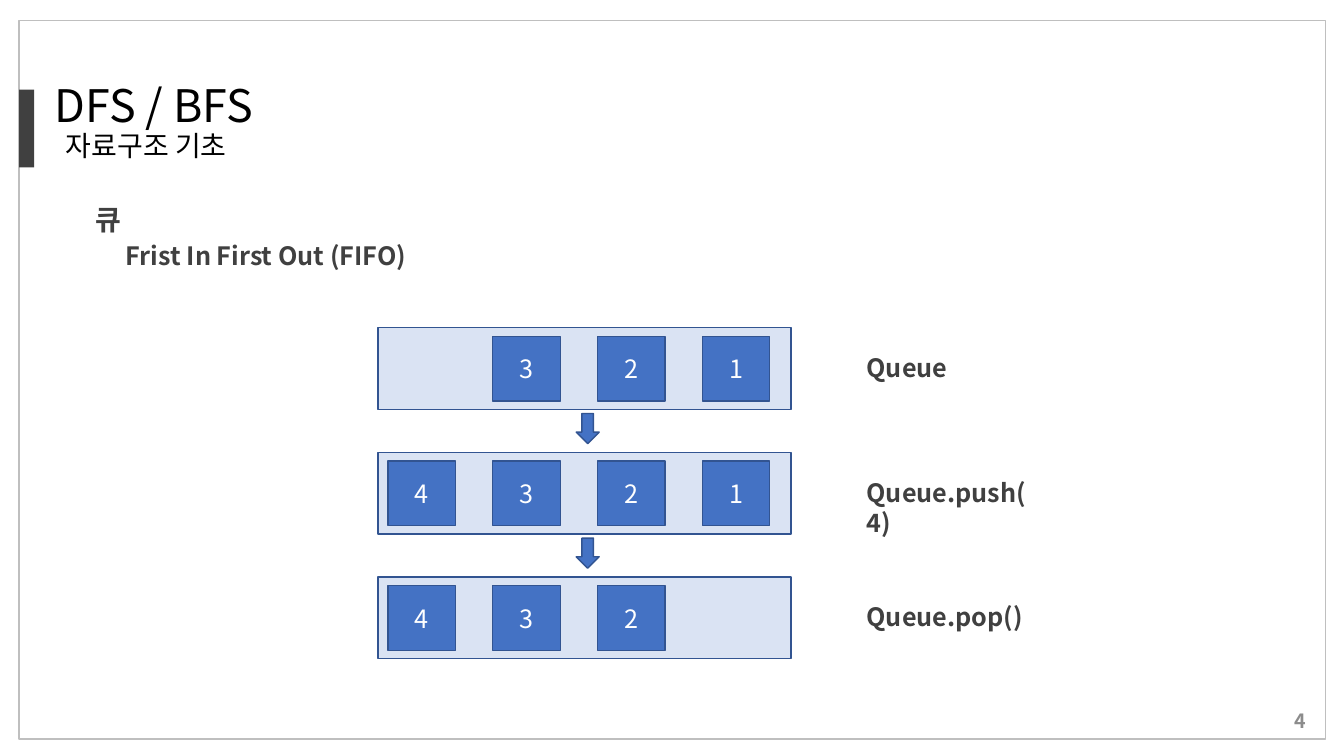
from pptx import Presentation
from pptx import util as u
from pptx.dml.color import RGBColor
from pptx.enum import shapes, text
from pptx.oxml.ns import qn
from lxml import etree

FONT = "Noto Sans CJK KR"
COLORS = {
    "frame": "BFBFBF", "dark": "404040", "number": "8C8C8C", "title": "000000",
    "queue": "DAE3F3", "block": "4472C4", "edge": "325491", "white": "FFFFFF",
}
QUEUE_STATES = [("Queue", "321"), ("Queue.push(4)", "4321"), ("Queue.pop()", "432")]
QUEUE_LEFT, QUEUE_TOP, ROW_STEP = 9.53, 8.26, 3.14
BLOCK_LEFT, BLOCK_STEP = 9.78, 2.64


def rgb(name):
    """Return the named colour."""
    return RGBColor.from_string(COLORS[name])


def add_run(p, words, size, color, bold=False):
    """Add a run with its Latin and East Asian font."""
    r = p.add_run()
    r.text = words
    r.font.size = u.Pt(size)
    r.font.name = FONT
    r.font.bold = bold
    r.font.color.rgb = rgb(color)
    etree.SubElement(r.font._element, qn("a:ea"), typeface=FONT)


def add_box(s, left, top, width, height, fill=None, line=None,
            kind=shapes.MSO_SHAPE.RECTANGLE):
    """Add a flat preset shape."""
    sp = s.shapes.add_shape(kind, u.Cm(left), u.Cm(top), u.Cm(width), u.Cm(height))
    sp.shadow.inherit = False
    if fill:
        sp.fill.solid()
        sp.fill.fore_color.rgb = rgb(fill)
    else:
        sp.fill.background()
    if line:
        sp.line.color.rgb = rgb(line)
        sp.line.width = u.Pt(1)
    else:
        sp.line.fill.background()
    return sp


def add_label(s, words, left, top, width, size=18, color="dark"):
    """Add a bold text box."""
    sp = s.shapes.add_textbox(u.Cm(left), u.Cm(top), u.Cm(width), u.Cm(1.02))
    tf = sp.text_frame
    tf.word_wrap = True
    add_run(tf.paragraphs[0], words, size, color, bold=True)
    return tf


def add_block(s, digit, row_top):
    """Add a numbered queue item in the column of its digit."""
    left = BLOCK_LEFT + (4 - int(digit)) * BLOCK_STEP
    sp = add_box(s, left, row_top + 0.22, 1.7, 1.63, "block", "edge")
    tf = sp.text_frame
    tf.vertical_anchor = text.MSO_ANCHOR.MIDDLE
    p = tf.paragraphs[0]
    p.alignment = text.PP_ALIGN.CENTER
    add_run(p, digit, 18, "white")


def add_queue(s, row, label, digits):
    """Add one queue state with its items and label."""
    top = QUEUE_TOP + row * ROW_STEP
    add_box(s, QUEUE_LEFT, top, 10.41, 2.06, "queue", "edge")
    for digit in digits:
        add_block(s, digit, top)
    add_label(s, label, 21.59, top + 0.5, 4.57)


def add_arrow(s, row):
    """Add the downward arrow below a queue state."""
    top = QUEUE_TOP + row * ROW_STEP + 2.25
    sp = add_box(s, 14.43, top, 0.76, 0.58, "block", "edge",
                 shapes.MSO_SHAPE.RIGHT_ARROW)
    sp.rotation = 90


def set_title(s, heading, subheading):
    """Place and fill the title placeholder."""
    sp = s.shapes.title
    sp.left, sp.top, sp.width, sp.height = u.Cm(1.12), u.Cm(1.98), u.Cm(19.69), u.Cm(2.49)
    tf = sp.text_frame
    tf.word_wrap = True
    tf.auto_size = text.MSO_AUTO_SIZE.NONE
    tf.vertical_anchor = text.MSO_ANCHOR.TOP
    lines = [(tf.paragraphs[0], heading, 32, 0), (tf.add_paragraph(), subheading, 20, 0.28)]
    for p, words, size, indent in lines:
        p.alignment = text.PP_ALIGN.LEFT
        p.line_spacing = 0.9
        p.space_before = u.Pt(0)
        p._p.get_or_add_pPr().set("marL", str(u.Cm(indent)))
        add_run(p, words, size, "title")


def main():
    """Build the queue slide."""
    prs = Presentation()
    prs.slide_width, prs.slide_height = u.Cm(33.87), u.Cm(19.05)
    s = prs.slides.add_slide(prs.slide_layouts[5])
    add_box(s, 0.48, 0.51, 32.92, 18.11, line="frame")
    add_box(s, 0.48, 2.26, 0.38, 1.96, "dark")
    set_title(s, "DFS / BFS", "자료구조 기초")
    add_label(s, "큐", 2.16, 4.98, 13, size=20)
    add_label(s, "Frist In First Out (FIFO)", 2.92, 5.94, 15.19)
    for row, (label, digits) in enumerate(QUEUE_STATES):
        add_queue(s, row, label, digits)
    for row in range(len(QUEUE_STATES) - 1):
        add_arrow(s, row)
    tf = add_label(s, "4", 25.55, 17.65, 7.62, size=14, color="number")
    tf.vertical_anchor = text.MSO_ANCHOR.MIDDLE
    tf.paragraphs[0].alignment = text.PP_ALIGN.RIGHT
    prs.save("out.pptx")


if __name__ == "__main__":
    main()
